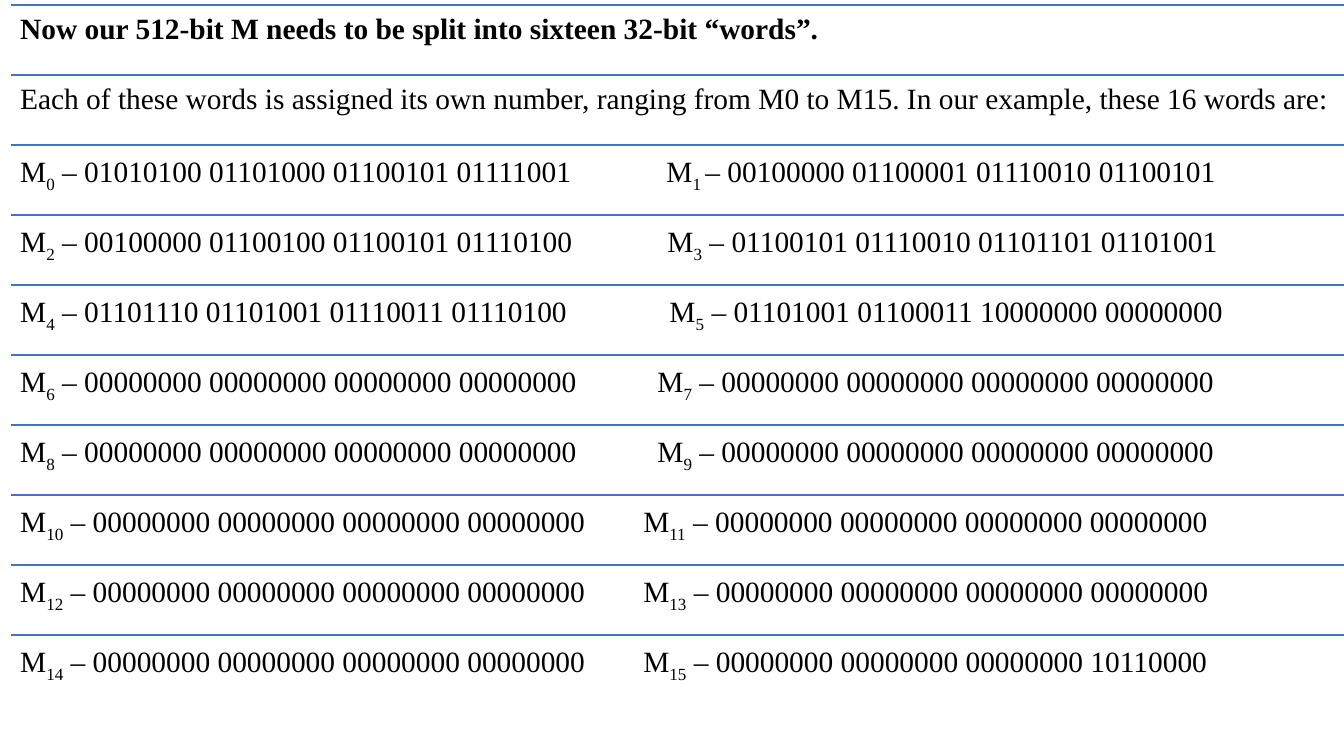
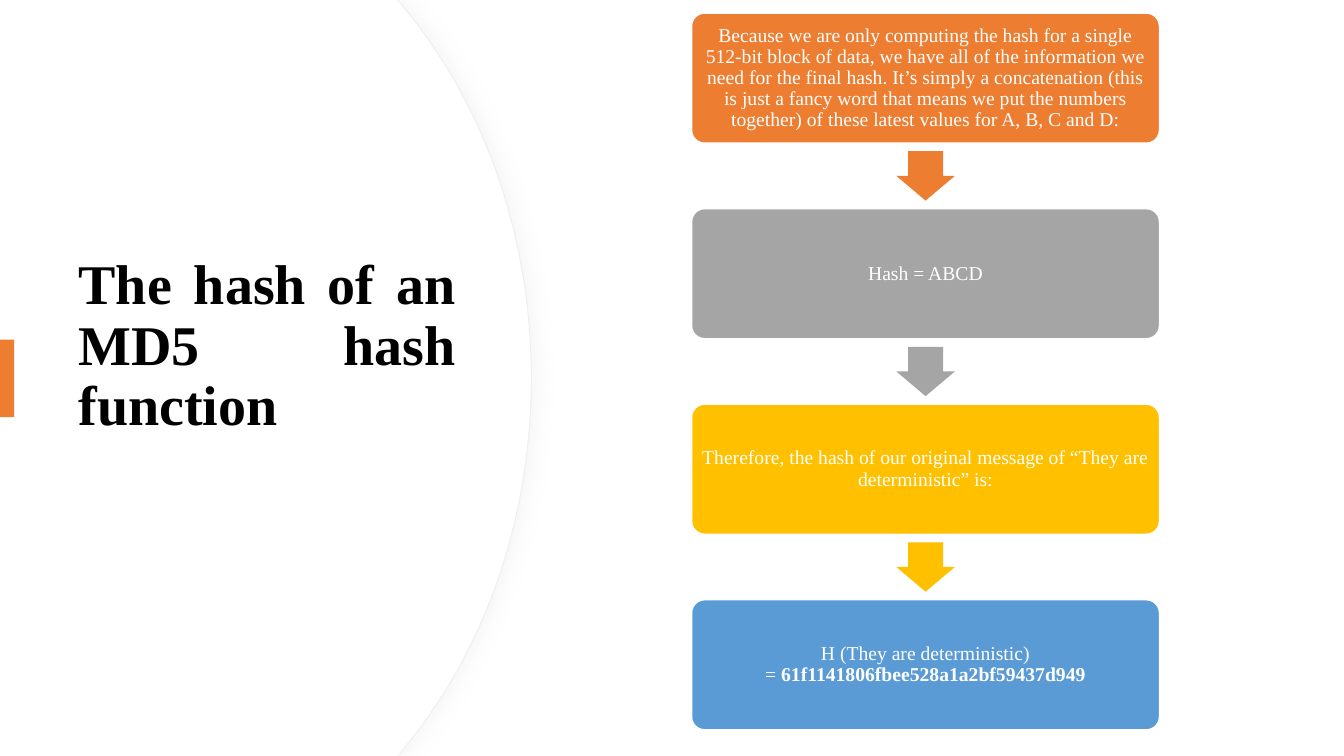
"""Build two slides on MD5: the sixteen message words and the final hash."""
from dataclasses import dataclass

from lxml.etree import SubElement
from pptx import Presentation
from pptx.dml.color import RGBColor
from pptx.enum.shapes import MSO_CONNECTOR as Conn, MSO_SHAPE as Geo
from pptx.enum.text import MSO_ANCHOR as Anchor, MSO_AUTO_SIZE as Fit, PP_ALIGN as Align
from pptx.oxml.ns import qn
from pptx.util import Inches, Pt

SLIDE_W, SLIDE_H = 13.33, 7.5
FONT = "Times New Roman"
NBSP = chr(160)
BLACK, WHITE, BLUE, RIM, SHADE = "000000", "FFFFFF", "4472C4", "EFEFEF", "D9D9D9"
ORANGE, GREY, GOLD, SKY = "ED7D31", "A5A5A5", "FFC000", "5B9BD5"

ROW_LEFT, ROW_TOP, ROW_PITCH = 0.11, 0.05, 6.25 / 9
STEP_LEFT, STEP_TOP, STEP_W, STEP_H, STEP_PITCH = 6.86, 0.13, 4.64, 1.29, 1.94
ARROW_W, ARROW_H = 0.58, 0.49
ZEROS = "00000000 00000000 00000000 00000000"


@dataclass(frozen=True)
class Span:
    """A stretch of text with one format."""
    text: str
    bold: bool = False
    sub: bool = False


@dataclass(frozen=True)
class WordPair:
    """Two message words side by side, with the start of the second."""
    left: str
    right: str
    stop: float
    low_gap: bool = False


@dataclass(frozen=True)
class Step:
    """One box of the flow."""
    fill: str
    spans: tuple[Span, ...]


HEADS = (
    Span("Now our 512-bit M needs to be split into sixteen 32-bit “words”.", bold=True),
    Span("Each of these words is assigned its own number, ranging from M0 to M15. "
         "In our example, these 16 words are:"),
)
PAIRS = (
    WordPair("01010100 01101000 01100101 01111001",
             "00100000 01100001 01110010 01100101", 6.41, low_gap=True),
    WordPair("00100000 01100100 01100101 01110100",
             "01100101 01110010 01101101 01101001", 6.42),
    WordPair("01101110 01101001 01110011 01110100",
             "01101001 01100011 10000000 00000000", 6.44),
    WordPair(ZEROS, ZEROS, 6.32),
    WordPair(ZEROS, ZEROS, 6.32),
    WordPair(ZEROS, ZEROS, 6.18),
    WordPair(ZEROS, ZEROS, 6.18),
    WordPair(ZEROS, "00000000 00000000 00000000 10110000", 6.18),
)
STEPS = (
    Step(ORANGE, (Span(
        "Because we are only computing the hash for a single 512-bit block of data, "
        "we have all of the information we need for the final hash. It’s simply a "
        "concatenation (this is just a fancy word that means we put the numbers "
        "together) of these latest values for A, B, C and D:"),)),
    Step(GREY, (Span("Hash = ABCD"),)),
    Step(GOLD, (Span("Therefore, the hash of our original message of "
                     "“They are deterministic” is:"),)),
    Step(SKY, (Span(f"H (They are deterministic) ={NBSP}"),
               Span("61f1141806fbee528a1a2bf59437d949", bold=True))),
)


def rgb(value: str) -> RGBColor:
    """Turn a hex string into a colour."""
    return RGBColor.from_string(value)


def apply(target, values: dict) -> None:
    """Set each named attribute of the target."""
    for name, value in values.items():
        setattr(target, name, value)


def box(left: float, top: float, width: float, height: float) -> list:
    """Give a place and size in inches as lengths."""
    return [Inches(n) for n in (left, top, width, height)]


def paint(sp, fill: str, line: str | None = None, width: float = 1) -> None:
    """Fill and outline a shape without a shadow."""
    sp.shadow.inherit = False
    sp.fill.solid()
    sp.fill.fore_color.rgb = rgb(fill)
    if line is None:
        sp.line.fill.background()
    else:
        sp.line.color.rgb = rgb(line)
        sp.line.width = Pt(width)


def write(tf, spans, size: float, color: str, align=Align.LEFT,
          anchor=Anchor.TOP, inset: float = 0.1, stop: float | None = None) -> None:
    """Write one paragraph of spans into a text frame."""
    margins = {f"margin_{side}": Inches(inset) for side in ("left", "top", "right", "bottom")}
    apply(tf, {"word_wrap": True, "auto_size": Fit.NONE, "vertical_anchor": anchor, **margins})
    p = tf.paragraphs[0]
    if stop is not None:
        tabs = SubElement(p._p.get_or_add_pPr(), qn("a:tabLst"))
        SubElement(tabs, qn("a:tab"), pos=str(Inches(stop)), algn="l")
    apply(p, {"alignment": align, "line_spacing": 0.9})
    for span in spans:
        r = p.add_run()
        r.text = span.text
        apply(r.font, {"name": FONT, "size": Pt(size), "bold": span.bold})
        r.font.color.rgb = rgb(color)
        if span.sub:
            r._r.get_or_add_rPr().set("baseline", "-25000")


def pair_spans(number: int, pair: WordPair) -> tuple[Span, ...]:
    """Label both words of a pair, parted by a tab."""
    low, high = (NBSP, "") if pair.low_gap else ("", NBSP)
    return (Span("M"), Span(str(number), sub=True), Span(f"{NBSP}– {pair.left}\tM"),
            Span(f"{number + 1}{low}", sub=True), Span(f"{high}– {pair.right}"))


def add_row(s, index: int, spans, stop: float | None = None) -> None:
    """Draw a ruled row of text."""
    top, width = ROW_TOP + index * ROW_PITCH, SLIDE_W - ROW_LEFT
    rule = s.shapes.add_connector(Conn.STRAIGHT, Inches(ROW_LEFT), Inches(top),
                                  Inches(SLIDE_W), Inches(top))
    rule.line.color.rgb = rgb(BLUE)
    rule.line.width = Pt(1)
    SubElement(rule._element.spPr, qn("a:effectLst"))
    tb = s.shapes.add_textbox(*box(ROW_LEFT, top, width, ROW_PITCH))
    write(tb.text_frame, spans, 21, BLACK, inset=0.09, stop=stop)


def add_panel(s, shift: float = 0):
    """Draw the left panel with its bulging right edge of two Bezier curves."""
    upper = [(3.94, 0), (4.01 - shift, 0.08), (4.79 - shift, 1.02), (5.27 - shift, 2.32)]
    lower = [(x, SLIDE_H - y) for x, y in reversed(upper)]
    points = upper + [(5.27 - shift, SLIDE_H / 2)] + lower + [(0, SLIDE_H)]
    fb = s.shapes.build_freeform(0, 0)
    fb.add_line_segments([(Inches(x), Inches(y)) for x, y in points], close=True)
    sp = fb.convert_to_shape()
    segments = list(sp._element.iter(qn("a:lnTo")))
    for first in (2, 5):
        curve, *rest = segments[first:first + 3]
        curve.tag = qn("a:cubicBezTo")
        for segment in rest:
            curve.append(segment[0])
            segment.getparent().remove(segment)
    return sp


def add_shade(sp) -> None:
    """Cast a soft shadow to the right of a shape."""
    effects = sp._element.spPr.find(qn("a:effectLst"))
    shade = SubElement(effects, qn("a:outerShdw"), blurRad=str(Pt(14)), dist=str(Pt(3)),
                       dir="0", algn="l", rotWithShape="0")
    color = SubElement(shade, qn("a:srgbClr"), val=SHADE)
    SubElement(color, qn("a:alpha"), val="25000")


def add_step(s, index: int, step: Step) -> None:
    """Draw a flow box and the arrow that leaves it."""
    top = STEP_TOP + index * STEP_PITCH
    sp = s.shapes.add_shape(Geo.ROUNDED_RECTANGLE, *box(STEP_LEFT, top, STEP_W, STEP_H))
    sp.adjustments[0] = 0.1
    paint(sp, step.fill, WHITE)
    write(sp.text_frame, step.spans, 14, WHITE, Align.CENTER, Anchor.MIDDLE, 0.06)
    if index < len(STEPS) - 1:
        left = STEP_LEFT + (STEP_W - ARROW_W) / 2
        arrow_top = top + (STEP_H + STEP_PITCH - ARROW_H) / 2
        arrow = s.shapes.add_shape(Geo.DOWN_ARROW, *box(left, arrow_top, ARROW_W, ARROW_H))
        arrow.adjustments[0], arrow.adjustments[1] = 0.6, 0.5
        paint(arrow, step.fill)


def build_words(prs) -> None:
    """Build the slide of message words."""
    s = prs.slides.add_slide(prs.slide_layouts[6])
    for i, head in enumerate(HEADS):
        add_row(s, i, (head,))
    for i, pair in enumerate(PAIRS):
        add_row(s, len(HEADS) + i, pair_spans(2 * i, pair), pair.stop)


def build_hash(prs) -> None:
    """Build the slide of the final hash."""
    s = prs.slides.add_slide(prs.slide_layouts[5])
    rim = add_panel(s)
    paint(rim, WHITE, RIM, 0.75)
    add_shade(rim)
    paint(add_panel(s, 0.01), WHITE)
    title = s.shapes.title
    s.shapes._spTree.append(title._element)
    apply(title, dict(zip(("left", "top", "width", "height"), box(0.68, 1.27, 3.94, 4.35))))
    write(title.text_frame, (Span("The hash of an MD5 hash function", bold=True),),
          40, BLACK, Align.JUSTIFY, Anchor.MIDDLE)
    paint(s.shapes.add_shape(Geo.RECTANGLE, *box(0, 3.37, 0.14, 0.77)), ORANGE)
    for i, step in enumerate(STEPS):
        add_step(s, i, step)


def main() -> None:
    """Build and save the presentation."""
    prs = Presentation()
    apply(prs, {"slide_width": Inches(SLIDE_W), "slide_height": Inches(SLIDE_H)})
    build_words(prs)
    build_hash(prs)
    prs.save("out.pptx")


if __name__ == "__main__":
    main()
